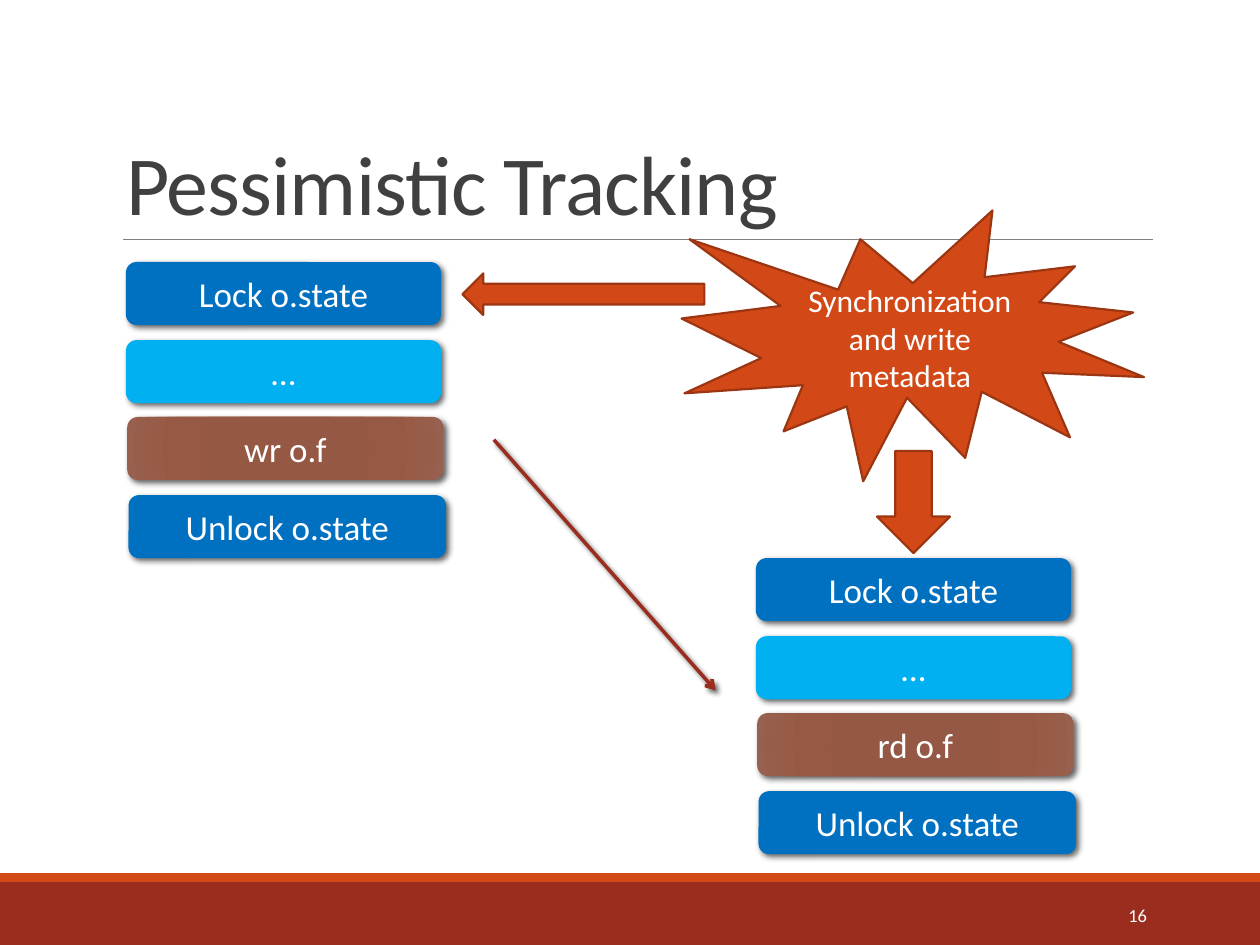
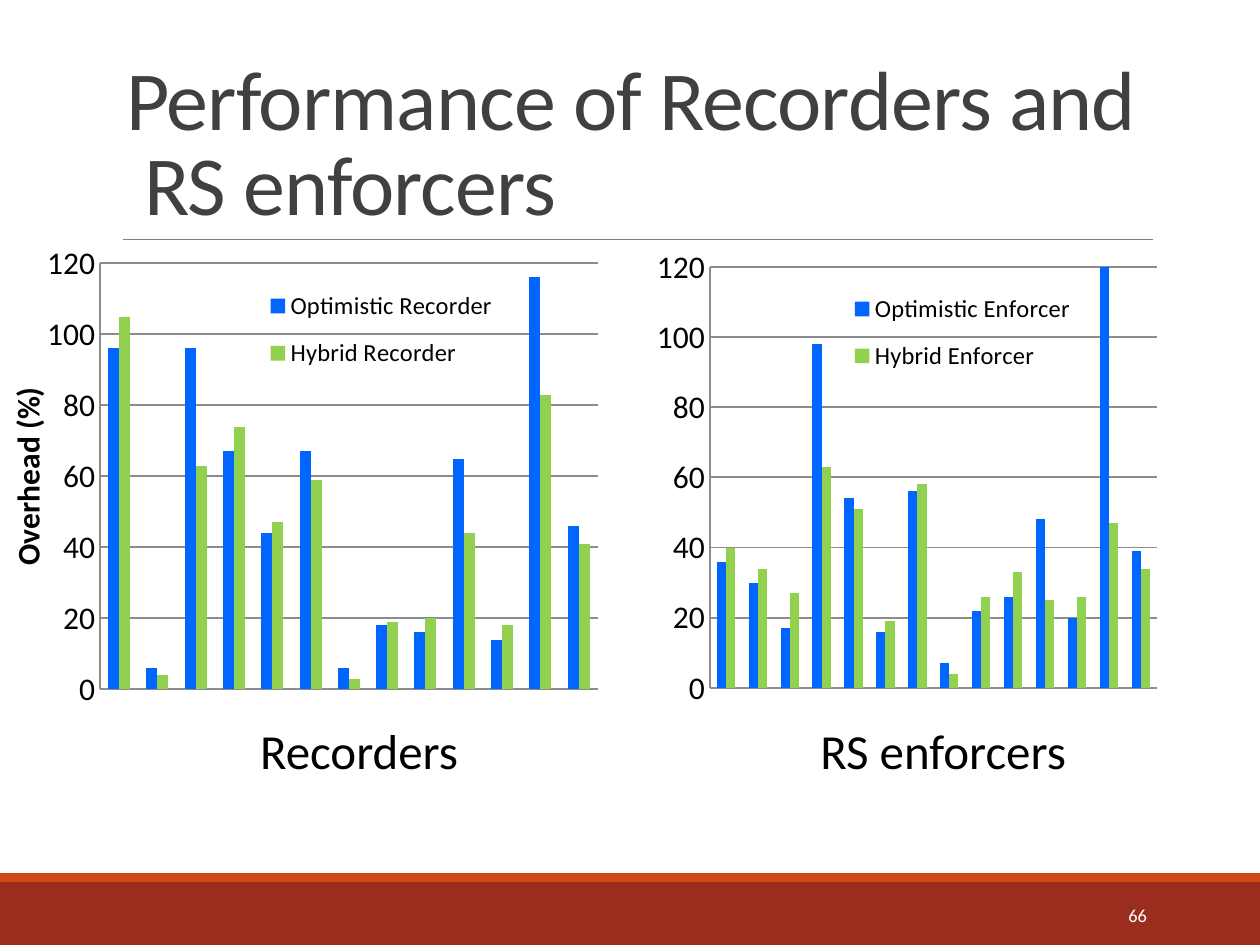
from lxml.etree import SubElement
from pptx import Presentation
from pptx.chart.data import CategoryChartData
from pptx.dml.color import RGBColor
from pptx.enum.chart import XL_CHART_TYPE as CHART, XL_LEGEND_POSITION as SIDE
from pptx.enum.chart import XL_TICK_LABEL_POSITION as LABEL, XL_TICK_MARK as TICK
from pptx.enum.shapes import MSO_CONNECTOR as LINE, MSO_SHAPE as FORM
from pptx.enum.text import MSO_ANCHOR as ANCHOR, MSO_AUTO_SIZE as AUTO, PP_ALIGN as ALIGN
from pptx.oxml import parse_xml
from pptx.oxml.ns import nsdecls, qn
from pptx.util import Pt

PX = 9144  # 100 px to the inch
FONT = "Calibri"
hue = RGBColor.from_string
WHITE, BLACK, GREY = "FFFFFF", "000000", "8C8C8C"
RED, ORANGE, RUST = "9B2D1F", "D34817", "9C3511"
BLUE, SKY, BROWN = "0070C0", "00B0F0", "945742"


def write(shape, text, size, color, align=ALIGN.CENTER, anchor=ANCHOR.MIDDLE, wrap=True):
    frame = shape.text_frame
    frame.text = text
    frame.word_wrap = wrap
    frame.auto_size = AUTO.NONE
    frame.vertical_anchor = anchor
    para = frame.paragraphs[0]
    para.alignment = align
    para.font.name = FONT
    para.font.size = Pt(size)
    para.font.color.rgb = hue(color)
    return para


def draw(slide, form, box, color, edge=None):
    shape = slide.shapes.add_shape(form, *[v * PX for v in box])
    shape.shadow.inherit = False
    shape.fill.solid()
    shape.fill.fore_color.rgb = hue(color)
    if edge:
        shape.line.color.rgb = hue(edge)
        shape.line.width = Pt(1.25)
    else:
        shape.line.fill.background()
    return shape


deck = Presentation()
deck.slide_width, deck.slide_height = 1000 * PX, 750 * PX

# Shared frame: bands, rule, title and page number
slides = []
for name, page in [("Pessimistic Tracking", "16"),
                   ("Performance of Recorders and\v RS enforcers", "66")]:
    slide = deck.slides.add_slide(deck.slide_layouts[5])
    slides.append(slide)
    draw(slide, FORM.RECTANGLE, (0, 700, 1000, 50), RED)
    draw(slide, FORM.RECTANGLE, (0, 693, 1000, 7), ORANGE)
    rule = slide.shapes.add_connector(LINE.STRAIGHT, 98 * PX, 190 * PX, 915 * PX, 190 * PX)
    rule.line.color.rgb = hue("808080")
    rule.line.width = Pt(0.5)
    SubElement(rule._element.spPr, qn("a:effectLst"))

    title = slide.shapes.title
    title.left, title.top, title.width, title.height = [v * PX for v in (90, 31, 825, 159)]
    para = write(title, name, 48, "404040", ALIGN.LEFT, ANCHOR.BOTTOM)
    para.line_spacing = 0.85
    for run in para.runs:
        run._r.get_or_add_rPr().set("spc", "-50")

    num = slide.shapes.add_textbox(*[v * PX for v in (812, 706, 108, 40)])
    write(num, page, 10.5, WHITE, ALIGN.RIGHT)

track, perf = slides

# Tracking: two stacks of steps, one per thread
shaded = []
for left, top, access in [(100, 208, "wr o.f"), (600, 443, "rd o.f")]:
    steps = [("Lock o.state", BLUE), ("…", SKY), (access, BROWN), ("Unlock o.state", BLUE)]
    for i, (text, color) in enumerate(steps):
        shift = max(0, i - 1)
        box = left + shift, top + round(i * 61.7), 250 + shift, 50
        step = draw(track, FORM.ROUNDED_RECTANGLE, box, color)
        write(step, text, 20, WHITE)
        shaded.append((step, 3.5))
        if color == BROWN:
            stops = "".join(
                f'<a:gs pos="{pos}000"><a:srgbClr val="{tone}"/></a:gs>'
                for pos, tone in [(0, BROWN), (34, "945844"), (70, "985944"), (100, "98604E")])
            props = step._element.spPr
            props.replace(props.find(qn("a:solidFill")), parse_xml(
                f'<a:gradFill {nsdecls("a")} rotWithShape="1"><a:gsLst>{stops}</a:gsLst>'
                '<a:path path="circle"><a:fillToRect l="100000" t="100000" r="100000" '
                'b="100000"/></a:path></a:gradFill>'))

flow = track.shapes.add_connector(LINE.STRAIGHT, 392 * PX, 349 * PX, 568 * PX, 548 * PX)
flow.line.color.rgb = hue(RED)
flow.line.width = Pt(2)
SubElement(flow.line._get_or_add_ln(), qn("a:tailEnd"), type="arrow")
SubElement(flow._element.spPr, qn("a:effectLst"))
shaded.append((flow, 3))

for shape, blur in shaded:
    shade = SubElement(shape._element.spPr.find(qn("a:effectLst")), qn("a:outerShdw"),
                       blurRad=str(Pt(blur)), dist=str(Pt(2)), dir="2700000",
                       algn="br", rotWithShape="0")
    tint = SubElement(shade, qn("a:srgbClr"), val=BLACK)
    SubElement(tint, qn("a:alpha"), val="60000")

burst = draw(track, FORM.EXPLOSION1, (541, 167, 367, 215), ORANGE, RUST)
write(burst, "Synchronization and write metadata", 18, WHITE)
draw(track, FORM.LEFT_ARROW, (367, 217, 192, 33), ORANGE, RUST)
draw(track, FORM.DOWN_ARROW, (696, 358, 58, 81), ORANGE, RUST)

# Performance: one chart and caption per kind of tool
charts = [
    ((0, 26, 571, 683), "Overhead (%)", "Recorders", (189, 567, 192, 57), {
        "Optimistic Recorder": (96, 6, 96, 67, 44, 67, 6, 18, 16, 65, 14, 116, 46),
        "Hybrid Recorder": (105, 4, 63, 74, 47, 59, 3, 19, 20, 44, 18, 83, 41)}),
    ((492, 31, 513, 675), None, "RS enforcers", (629, 567, 239, 57), {
        "Optimistic Enforcer": (36, 30, 17, 98, 54, 16, 56, 7, 22, 26, 48, 20, 124, 39),
        "Hybrid Enforcer": (40, 34, 27, 63, 51, 19, 58, 4, 26, 33, 25, 26, 47, 34)}),
]
for box, unit, label, spot, rows in charts:
    data = CategoryChartData()
    data.categories = [str(i + 1) for i in range(len(list(rows.values())[0]))]
    for name, vals in rows.items():
        data.add_series(name, vals)
    chart = perf.shapes.add_chart(CHART.COLUMN_CLUSTERED, *[v * PX for v in box], data).chart
    chart.has_title = False
    chart.font.name = FONT
    chart.font.size = Pt(18)
    chart.font.color.rgb = hue(BLACK)

    plot = chart.plots[0]
    plot.gap_width, plot.overlap, plot.vary_by_categories = 150, 0, False
    for series, color in zip(plot.series, ("0066FF", "92D050")):
        series.format.fill.solid()
        series.format.fill.fore_color.rgb = hue(color)

    cat, val = chart.category_axis, chart.value_axis
    cat.tick_label_position = LABEL.NONE
    val.minimum_scale, val.maximum_scale, val.major_unit = 0, 120, 20
    val.has_major_gridlines = True
    for axis in (cat, val):
        axis.major_tick_mark = axis.minor_tick_mark = TICK.NONE
    for part in (cat, val, val.major_gridlines):
        part.format.line.color.rgb = hue(GREY)
        part.format.line.width = Pt(1)
    if unit:
        val.axis_title.text_frame.text = unit
        font = val.axis_title.text_frame.paragraphs[0].font
        font.name, font.size, font.bold = FONT, Pt(18), True
        font.color.rgb = hue(BLACK)

    chart.has_legend = True
    key = chart.legend
    key.position = SIDE.RIGHT
    key.include_in_layout = False
    key.font.name, key.font.size = FONT, Pt(14)
    key.font.color.rgb = hue(BLACK)

    area = chart._chartSpace.chart.plotArea
    for host, slot, frac in [(area, 0, (0.139, 0.268, 0.692, 0.495)),
                             (key._element, 1, (0.34, 0.28, 0.38, 0.13))]:
        for old in host.findall(qn("c:layout")):
            host.remove(old)
        inner = '<c:layoutTarget val="inner"/>' if host is area else ""
        modes = "".join(f'<c:{a}Mode val="edge"/>' for a in "xy")
        sizes = "".join(f'<c:{a} val="{v}"/>' for a, v in zip("xywh", frac))
        host.insert(slot, parse_xml(
            f'<c:layout {nsdecls("c")}><c:manualLayout>{inner}{modes}{sizes}'
            '</c:manualLayout></c:layout>'))

    note = perf.shapes.add_textbox(*[v * PX for v in spot])
    write(note, label, 28, BLACK, anchor=ANCHOR.TOP, wrap=False)

deck.save("out.pptx")
